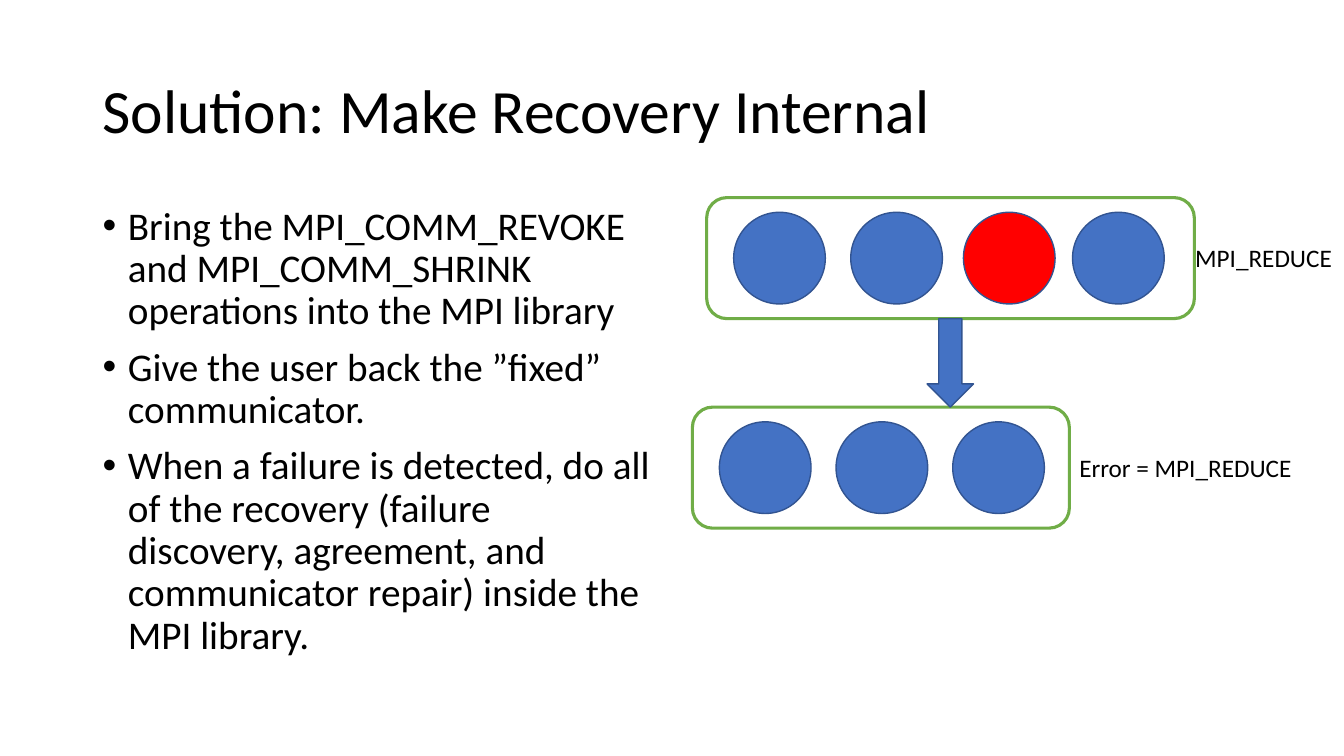
"""Build the slide on making communicator recovery internal to the MPI library."""
from dataclasses import dataclass

from lxml.etree import SubElement
from pptx import Presentation
from pptx.dml.color import RGBColor
from pptx.enum.shapes import MSO_SHAPE
from pptx.enum.text import MSO_ANCHOR, MSO_AUTO_SIZE, PP_ALIGN
from pptx.oxml.ns import qn
from pptx.util import Cm, Pt


@dataclass(frozen=True)
class Theme:
    font: str = "Calibri"
    ink: str = "000000"
    paper: str = "FFFFFF"
    healthy: str = "4472C4"
    failed: str = "FF0000"
    outline: str = "325491"
    frame: str = "70AD47"
    title: int = 44
    body: int = 28
    label: int = 18
    thin: float = 1
    thick: float = 2.25


THEME = Theme()
TITLE = "Solution: Make Recovery Internal"
BULLETS = [
    "Bring the MPI_COMM_REVOKE and MPI_COMM_SHRINK operations into the MPI library ",
    "Give the user back the ”fixed” communicator.",
    "When a failure is detected, do all of the recovery (failure discovery, "
    "agreement, and communicator repair) inside the MPI library.",
]
COMMUNICATORS = [
    {"place": (17.81, 4.98, 12.29, 3.05), "offsets": (0.68, 3.63, 6.47, 9.22), "failed": 2},
    {"place": (17.45, 10.26, 9.5, 3.05), "offsets": (0.68, 3.62, 6.56), "failed": None},
]
LABELS = [
    ("MPI_REDUCE", (29.87, 5.99, 3.99, 1.02)),
    ("Error = MPI_REDUCE", (26.95, 11.28, 5.92, 1.02)),
]
TITLE_PLACE = (2.33, 1.01, 29.21, 3.68)
BODY_PLACE = (2.33, 5.07, 14.4, 12.09)
ARROW_WIDTH, ARROW_CENTRE = 1.17, 23.95
RANK_SIZE = 2.31


def place(box, left, top, width, height):
    box.left, box.top, box.width, box.height = map(Cm, (left, top, width, height))


def write(box, lines, size, wrap=True, anchor=MSO_ANCHOR.TOP, fit=MSO_AUTO_SIZE.NONE,
          spacing=1.0, before=0, bullet=None):
    frame = box.text_frame
    frame.word_wrap, frame.auto_size, frame.vertical_anchor = wrap, fit, anchor
    for index, line in enumerate(lines):
        para = frame.add_paragraph() if index else frame.paragraphs[0]
        para.alignment, para.line_spacing = PP_ALIGN.LEFT, spacing
        para.space_before, para.space_after = Pt(before), Pt(0)
        if bullet:
            properties = para._p.get_or_add_pPr()
            properties.set("marL", str(Cm(0.64)))
            properties.set("indent", str(Cm(-0.64)))
            SubElement(properties, qn("a:buFont"), typeface="Arial")
            SubElement(properties, qn("a:buChar"), char=bullet)
        span = para.add_run()
        span.text = line
        span.font.name, span.font.size = THEME.font, Pt(size)
        span.font.color.rgb = RGBColor.from_string(THEME.ink)


def draw(shapes, kind, bounds, fill, line=THEME.outline, weight=THEME.thin):
    shape = shapes.add_shape(kind, *map(Cm, bounds))
    shape.shadow.inherit = False
    shape.fill.solid()
    shape.fill.fore_color.rgb = RGBColor.from_string(fill)
    shape.line.color.rgb = RGBColor.from_string(line)
    shape.line.width = Pt(weight)


def draw_communicator(page, bounds, offsets, failed):
    shapes = page.shapes.add_group_shape().shapes
    left, top, _, height = bounds
    draw(shapes, MSO_SHAPE.ROUNDED_RECTANGLE, bounds, THEME.paper, THEME.frame, THEME.thick)
    rank_top = top + (height - RANK_SIZE) / 2
    for rank, offset in enumerate(offsets):
        fill = THEME.failed if rank == failed else THEME.healthy
        draw(shapes, MSO_SHAPE.OVAL, (left + offset, rank_top, RANK_SIZE, RANK_SIZE), fill)


deck = Presentation()
deck.slide_width, deck.slide_height = Cm(33.87), Cm(19.05)
page = deck.slides.add_slide(deck.slide_layouts[1])
title, body = page.shapes.title, page.placeholders[1]
place(title, *TITLE_PLACE)
write(title, [TITLE], THEME.title, anchor=MSO_ANCHOR.MIDDLE, spacing=0.9)
place(body, *BODY_PLACE)
write(body, BULLETS, THEME.body, spacing=0.9, before=10, bullet="•")

for communicator in COMMUNICATORS:
    draw_communicator(page, communicator["place"], communicator["offsets"], communicator["failed"])

before, after = (communicator["place"] for communicator in COMMUNICATORS)
arrow_top = before[1] + before[3]
draw(page.shapes, MSO_SHAPE.DOWN_ARROW,
     (ARROW_CENTRE - ARROW_WIDTH / 2, arrow_top, ARROW_WIDTH, after[1] - arrow_top), THEME.healthy)

for text, bounds in LABELS:
    label = page.shapes.add_textbox(*map(Cm, bounds))
    write(label, [text], THEME.label, wrap=False, fit=MSO_AUTO_SIZE.SHAPE_TO_FIT_TEXT)

deck.save("out.pptx")
